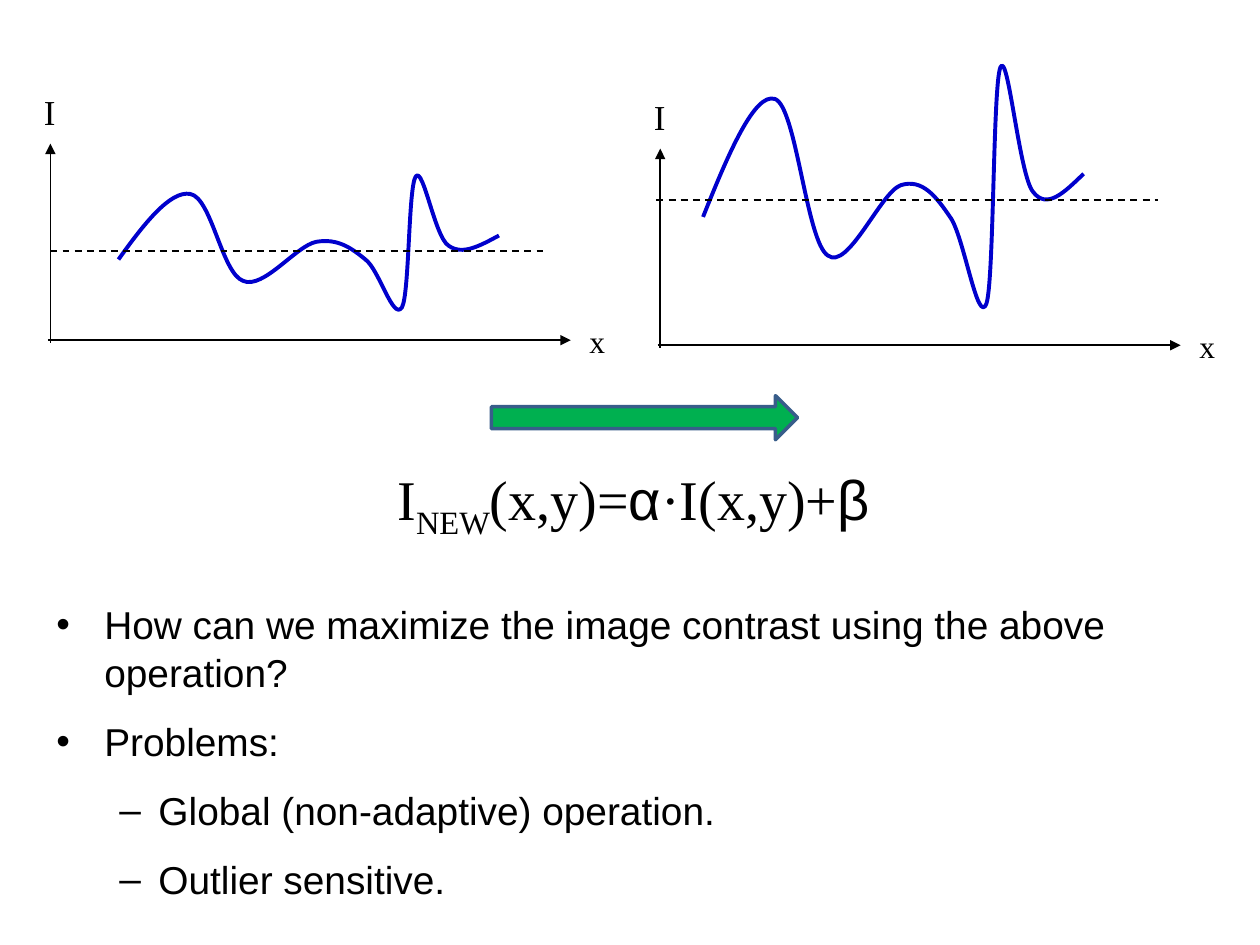
import dataclasses
import typing

import lxml.etree
import pptx
import pptx.dml.color
import pptx.enum.dml
import pptx.enum.shapes
import pptx.enum.text
import pptx.oxml
import pptx.oxml.ns
import pptx.util

Inches = pptx.util.Inches
qualified = pptx.oxml.ns.qn


@dataclasses.dataclass(frozen=True)
class Theme:
    black: str = "000000"
    curve: str = "0000CC"
    arrow_fill: str = "00B050"
    arrow_line: str = "385D8A"
    serif: str = "Times New Roman"
    sans: str = "Arial"
    intensity_size: float = 20
    position_size: float = 18
    formula_size: float = 32
    body_size: float = 22.2


THEME = Theme()


class Signal(typing.NamedTuple):
    """A graph: axis origin, curve start, vertical gain and mean line."""
    left: float
    bottom: float
    curve_left: float
    curve_top: float
    gain: float
    mean: tuple[float, float, float]  # left, right, y


class Run(typing.NamedTuple):
    text: str
    font: str = THEME.serif
    baseline: int = 0


class Bullet(typing.NamedTuple):
    text: str
    level: int = 0


# Start point, then two control points and an end point per segment
CURVE = [
    (0, 0.74), (0.2, 0.46), (0.41, 0.19), (0.57, 0.22),
    (0.74, 0.25), (0.82, 0.85), (0.99, 0.91), (1.15, 0.98), (1.41, 0.63),
    (1.57, 0.6), (1.74, 0.57), (1.85, 0.65), (1.96, 0.74), (2.07, 0.82),
    (2.18, 1.23), (2.25, 1.12), (2.31, 1.01), (2.3, 0.16), (2.36, 0.08),
    (2.42, 0), (2.51, 0.56), (2.62, 0.63), (2.73, 0.71), (2.87, 0.63),
    (3.02, 0.55),
]
SIGNALS = [
    Signal(0.4, 2.7, 0.94, 1.32, 1, (0.4, 4.34, 1.99)),
    Signal(5.24, 2.74, 5.58, 0.39, 1.8, (5.21, 9.19, 1.59)),
]
FORMULA = [
    Run("I"), Run("NEW", baseline=-25000), Run("(x,y)="),
    Run("α", THEME.sans), Run("·I(x,y)+"), Run("β", THEME.sans),
]
BULLETS = [
    Bullet("How can we maximize the image contrast using the above operation?"),
    Bullet("Problems:"),
    Bullet("Global (non-adaptive) operation.", 1),
    Bullet("Outlier sensitive.", 1),
]
# Marker, text indent and hanging indent of each bullet level
LEVELS = [("•", 0.38, -0.38), ("–", 0.81, -0.31)]


def rgb(color: str) -> pptx.dml.color.RGBColor:
    return pptx.dml.color.RGBColor.from_string(color)


def apply(target: typing.Any, values: dict[str, typing.Any]) -> None:
    for name, value in values.items():
        setattr(target, name, value)


def format_font(font: typing.Any, name: str, size: float) -> None:
    apply(font, {"name": name, "size": pptx.util.Pt(size)})
    font.color.rgb = rgb(THEME.black)


def add_line(slide: typing.Any, start: tuple[float, float], end: tuple[float, float],
             dashed: bool = False) -> None:
    """A dashed line is plain; a solid one is an axis with an arrowhead."""
    connector = slide.shapes.add_connector(
        pptx.enum.shapes.MSO_CONNECTOR.STRAIGHT, *map(Inches, start + end))
    connector.line.width = pptx.util.Pt(1)
    connector.line.color.rgb = rgb(THEME.black)
    if dashed:
        connector.line.dash_style = pptx.enum.dml.MSO_LINE.DASH
    else:
        head = lxml.etree.SubElement(connector.line._get_or_add_ln(), qualified("a:tailEnd"))
        head.set("type", "triangle")
    lxml.etree.SubElement(connector._element.spPr, qualified("a:effectLst"))


def add_label(slide: typing.Any, box: tuple[float, float, float, float],
              runs: list[Run], size: float) -> None:
    frame = slide.shapes.add_textbox(*map(Inches, box)).text_frame
    apply(frame, {"word_wrap": False,
                  "auto_size": pptx.enum.text.MSO_AUTO_SIZE.SHAPE_TO_FIT_TEXT})
    paragraph = frame.paragraphs[0]
    paragraph.alignment = pptx.enum.text.PP_ALIGN.CENTER
    for item in runs:
        run = paragraph.add_run()
        run.text = item.text
        format_font(run.font, item.font, size)
        if item.baseline:
            run._r.get_or_add_rPr().set("baseline", str(item.baseline))


def add_curve(slide: typing.Any, signal: Signal) -> None:
    points = [(Inches(signal.curve_left + x), Inches(signal.curve_top + signal.gain * y))
              for x, y in CURVE]
    builder = slide.shapes.build_freeform(*points[0])
    builder.add_line_segments(points[1:], close=False)
    shape = builder.convert_to_shape()
    shape.shadow.inherit = False
    shape.fill.background()
    shape.line.color.rgb = rgb(THEME.curve)
    shape.line.width = pptx.util.Pt(2.25)
    # Join every three straight segments into one Bézier segment
    outline = next(shape._element.iter(qualified("a:path")))
    segments = outline.findall(qualified("a:lnTo"))
    for first in range(0, len(segments), 3):
        bezier = lxml.etree.SubElement(outline, qualified("a:cubicBezTo"))
        for segment in segments[first:first + 3]:
            bezier.append(segment[0])
            outline.remove(segment)


def add_signal(slide: typing.Any, signal: Signal) -> None:
    left, bottom = signal.left, signal.bottom
    add_curve(slide, signal)
    add_line(slide, (left, bottom + 0.02), (left, bottom - 1.56))
    add_line(slide, (left - 0.02, bottom), (left + 4.13, bottom))
    mean_left, mean_right, mean_y = signal.mean
    add_line(slide, (mean_left, mean_y), (mean_right, mean_y), dashed=True)
    add_label(slide, (left - 0.15, bottom - 2.03, 0.29, 0.44), [Run("I")],
              THEME.intensity_size)
    add_label(slide, (left + 4.18, bottom - 0.19, 0.32, 0.4), [Run("x")],
              THEME.position_size)


def add_bullets(slide: typing.Any) -> None:
    frame = slide.shapes.add_textbox(*map(Inches, (0.35, 4.71, 9.14, 2.53))).text_frame
    frame.word_wrap = True
    for index, bullet in enumerate(BULLETS):
        paragraph = frame.add_paragraph() if index else frame.paragraphs[0]
        marker, margin, indent = LEVELS[bullet.level]
        properties = paragraph._p.get_or_add_pPr()
        properties.set("marL", str(Inches(margin)))
        properties.set("indent", str(Inches(indent)))
        lxml.etree.SubElement(properties, qualified("a:buFont")).set("typeface", THEME.sans)
        lxml.etree.SubElement(properties, qualified("a:buChar")).set("char", marker)
        apply(paragraph, {"level": bullet.level, "line_spacing": 1.03,
                          "space_before": pptx.util.Pt(6 if index else 0),
                          "space_after": pptx.util.Pt(6)})
        run = paragraph.add_run()
        run.text = bullet.text
        format_font(run.font, THEME.sans, THEME.body_size)


def add_block_arrow(slide: typing.Any) -> None:
    shape = slide.shapes.add_shape(pptx.enum.shapes.MSO_SHAPE.RIGHT_ARROW,
                                   *map(Inches, (3.9, 3.14, 2.43, 0.35)))
    shape.shadow.inherit = False
    shape.fill.solid()
    shape.fill.fore_color.rgb = rgb(THEME.arrow_fill)
    shape.line.color.rgb = rgb(THEME.arrow_line)
    shape.line.width = pptx.util.Pt(2)


def main() -> None:
    presentation = pptx.Presentation()
    apply(presentation, {"slide_width": Inches(10), "slide_height": Inches(7.5)})
    slide = presentation.slides.add_slide(presentation.slide_layouts[6])
    # Questions, signals before and after, then the operation between them
    add_bullets(slide)
    for signal in SIGNALS:
        add_signal(slide, signal)
    add_block_arrow(slide)
    add_label(slide, (3.05, 3.64, 3.96, 0.71), FORMULA, THEME.formula_size)
    presentation.save("out.pptx")


if __name__ == "__main__":
    main()
